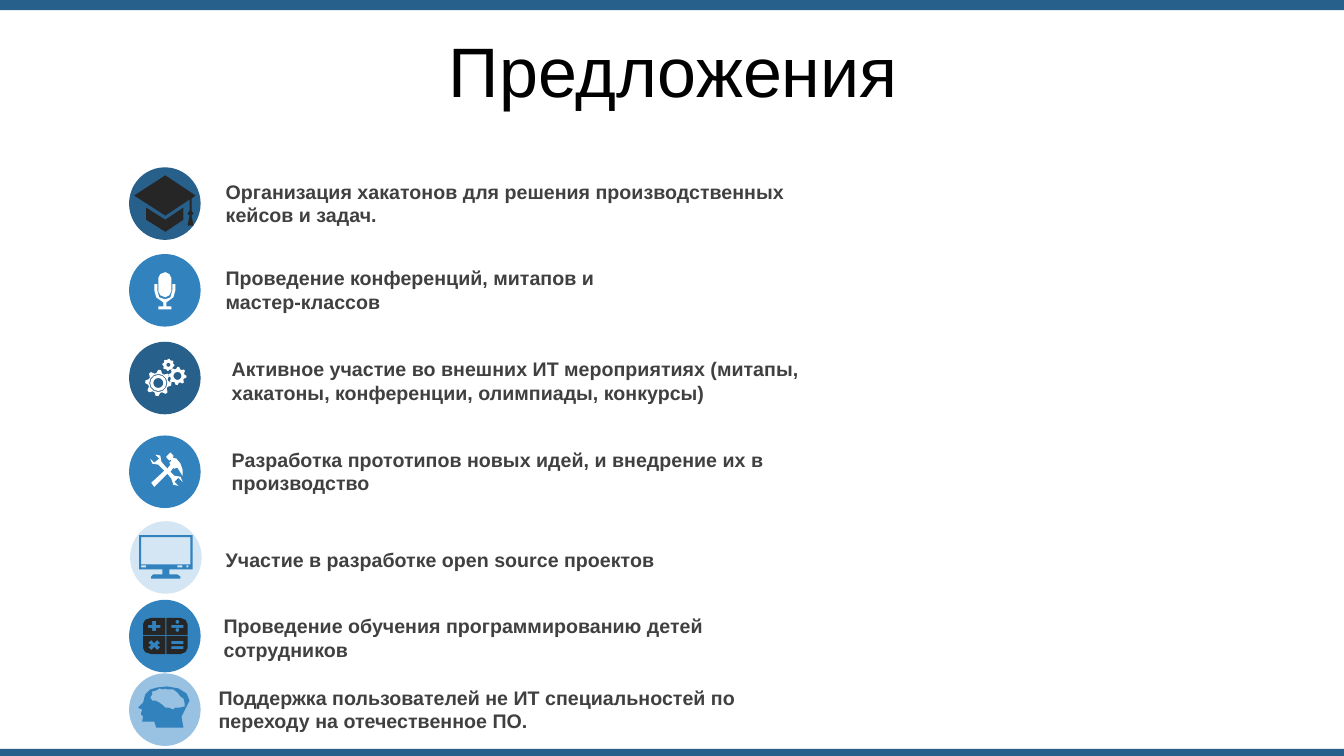
import math

from pptx import Presentation
from pptx import util as u
from pptx.dml.color import RGBColor
from pptx.enum import shapes, text

FONT = "Arial"
COLOURS = {
    "navy": "28608C", "blue": "3282BE", "sky": "98C1E2", "pale": "D4E6F4",
    "white": "FFFFFF", "ink": "262626", "grey": "404040", "black": "000000",
}

# Badge left, top and colour; text left, top, width, height and wording
PROPOSALS = [
    (1.28, 1.66, "navy", 2.14, 1.73, 6.02, 0.57,
     "Организация хакатонов для решения производственных кейсов и задач."),
    (1.28, 2.52, "blue", 2.14, 2.59, 3.9, 0.57,
     "Проведение конференций, митапов и мастер-классов"),
    (1.28, 3.39, "navy", 2.2, 3.49, 5.96, 0.57,
     "Активное участие во внешних ИТ мероприятиях (митапы, хакатоны, "
     "конференции, олимпиады, конкурсы)"),
    (1.28, 4.32, "blue", 2.2, 4.39, 5.73, 0.57,
     "Разработка прототипов новых идей, и внедрение их в производство"),
    (1.29, 5.17, "pale", 2.14, 5.38, 5.51, 0.34,
     "Участие в разработке open source проектов"),
    (1.28, 5.95, "blue", 2.12, 6.04, 5.66, 0.57,
     "Проведение обучения программированию детей сотрудников"),
    (1.28, 6.68, "sky", 2.07, 6.75, 5.66, 0.57,
     "Поддержка пользователей не ИТ специальностей по переходу на отечественное ПО."),
]

# Icon outlines: corner points in inches
CAP = ["1.45,2.06 1.64,2.18 1.82,2.06 1.82,2.18 1.64,2.3 1.45,2.18",
       "1.64,1.74 1.94,1.94 1.9,1.97 1.9,2.09 1.92,2.12 1.9,2.14 1.92,2.24 1.86,2.24 "
       "1.88,2.14 1.86,2.12 1.88,2.09 1.88,1.98 1.64,2.14 1.33,1.94"]
MICROPHONE = ["1.71,2.82 1.74,2.82 1.74,2.88 1.72,2.95 1.65,3 1.65,3.04 1.7,3.04 1.7,3.07 "
              "1.57,3.07 1.57,3.04 1.62,3.04 1.62,3 1.55,2.95 1.53,2.88 1.53,2.82 1.56,2.82 "
              "1.56,2.88 1.58,2.95 1.64,2.97 1.69,2.95 1.71,2.88",
              "1.64,2.7 1.68,2.72 1.7,2.76 1.7,2.89 1.68,2.93 1.64,2.95 1.59,2.93 "
              "1.57,2.89 1.57,2.76 1.59,2.72"]
TOOLS = ["1.54,4.51 1.59,4.52 1.6,4.58 1.66,4.65 1.69,4.61 1.68,4.59 1.7,4.57 1.69,4.56 "
         "1.71,4.54 1.75,4.55 1.79,4.6 1.81,4.66 1.81,4.72 1.76,4.64 1.73,4.65 1.72,4.64 "
         "1.69,4.68 1.73,4.72 1.79,4.73 1.81,4.78 1.77,4.74 1.73,4.78 1.77,4.82 1.72,4.81 "
         "1.7,4.75 1.66,4.7 1.53,4.83 1.5,4.79 1.63,4.67 1.57,4.61 1.51,4.6 1.49,4.55 "
         "1.53,4.59 1.58,4.55",
         "1.69,4.49 1.72,4.52 1.72,4.53 1.68,4.57 1.65,4.54 1.65,4.53"]
MONITOR = ["1.38,5.31 1.91,5.31 1.91,5.65 1.68,5.65 1.68,5.7 1.76,5.7 1.79,5.72 1.79,5.74 "
           "1.5,5.74 1.5,5.72 1.52,5.7 1.61,5.7 1.61,5.65 1.38,5.65"]
CALCULATOR = ["1.65,6.31 1.86,6.31 1.86,6.43 1.84,6.47 1.79,6.49 1.65,6.49",
              "1.42,6.31 1.64,6.31 1.64,6.49 1.5,6.49 1.44,6.47 1.42,6.43",
              "1.5,6.13 1.64,6.13 1.64,6.3 1.42,6.3 1.42,6.19 1.44,6.15",
              "1.65,6.13 1.79,6.13 1.84,6.15 1.86,6.19 1.86,6.3 1.65,6.3",
              "1.5,6.35 1.47,6.38 1.5,6.4 1.47,6.42 1.5,6.45 1.53,6.42 1.56,6.45 1.59,6.42 "
              "1.56,6.4 1.59,6.38 1.56,6.35 1.53,6.38",
              "1.51,6.16 1.51,6.2 1.47,6.2 1.47,6.23 1.51,6.23 1.51,6.26 1.55,6.26 1.55,6.23 "
              "1.59,6.23 1.59,6.2 1.55,6.2 1.55,6.16"]
HEAD = ["1.66,6.81 1.77,6.83 1.85,6.88 1.88,6.95 1.83,7.05 1.8,7.11 1.82,7.22 1.55,7.22 "
        "1.53,7.16 1.41,7.16 1.42,7.11 1.4,7.09 1.4,7.07 1.41,7.04 1.37,7.02 1.42,6.97 "
        "1.44,6.89 1.49,6.84 1.56,6.82",
        "1.62,6.84 1.58,6.83 1.55,6.85 1.51,6.86 1.51,6.89 1.49,6.92 1.51,6.95 1.54,6.95 "
        "1.58,6.97 1.62,7 1.64,7.02 1.67,7.02 1.72,7.04 1.74,7.02 1.78,7.02 1.83,7.01 "
        "1.83,6.97 1.82,6.93 1.79,6.91 1.76,6.87 1.72,6.84 1.66,6.84 1.64,6.83"]


def trace(outline):
    return [tuple(map(float, point.split(","))) for point in outline.split()]


def around(x, y, radii):
    """Points evenly spaced about a centre, one for each radius."""
    turn = 2 * math.pi / len(radii)
    return [(x + r * math.cos(i * turn), y + r * math.sin(i * turn))
            for i, r in enumerate(radii)]


def block(left, top, width, height):
    right, bottom = left + width, top + height
    return [(left, top), (right, top), (right, bottom), (left, bottom)]


def gear(x, y, tip, root, rings):
    teeth = around(x, y, [tip, tip, root, root] * 8)
    return [teeth] + [around(x, y, [ring] * 12) for ring in rings]


def set_fill(shape, colour):
    shape.fill.solid()
    shape.fill.fore_color.rgb = RGBColor.from_string(COLOURS[colour])
    shape.line.fill.background()
    shape.shadow.inherit = False


def add_solid(page, kind, left, top, width, height, colour):
    shape = page.shapes.add_shape(kind, *map(u.Inches, (left, top, width, height)))
    set_fill(shape, colour)


def add_icon(page, contours, colour):
    builder = None
    for contour in contours:
        start, *rest = [(u.Inches(x), u.Inches(y)) for x, y in contour]
        if builder is None:
            builder = page.shapes.build_freeform(*start, scale=1.0)
        else:
            builder.move_to(*start)
        builder.add_line_segments(rest)
    set_fill(builder.convert_to_shape(), colour)


def write(box, wording, size, colour, bold):
    frame = box.text_frame
    frame.text = wording
    frame.word_wrap = True
    frame.vertical_anchor = text.MSO_ANCHOR.MIDDLE
    font = frame.paragraphs[0].runs[0].font
    font.name, font.size, font.bold = FONT, u.Pt(size), bold
    font.color.rgb = RGBColor.from_string(COLOURS[colour])
    return frame


def add_title(page, wording):
    title = page.shapes.title
    title.left, title.top, title.width, title.height = map(u.Inches, (0.35, 0.37, 12.66, 0.79))
    frame = write(title, wording, 50, "black", False)
    frame.auto_size = text.MSO_AUTO_SIZE.NONE
    para = frame.paragraphs[0]
    para.alignment, para.line_spacing, para.space_before = text.PP_ALIGN.CENTER, 0.8, u.Pt(10)


def add_proposal(page, badge_left, badge_top, colour, left, top, width, height, wording):
    add_solid(page, shapes.MSO_SHAPE.OVAL, badge_left, badge_top, 0.71, 0.72, colour)
    box = page.shapes.add_textbox(*map(u.Inches, (left, top, width, height)))
    write(box, wording, 14, "grey", True).auto_size = text.MSO_AUTO_SIZE.SHAPE_TO_FIT_TEXT


def add_icons(page):
    for outlines, colour in ((CAP, "ink"), (MICROPHONE, "white"), (TOOLS, "white"), (HEAD, "blue")):
        add_icon(page, map(trace, outlines), colour)
    add_icon(page, gear(1.57, 3.8, 0.13, 0.1, (0.09, 0.08, 0.05))
             + gear(1.76, 3.73, 0.09, 0.07, (0.04,))
             + gear(1.67, 3.62, 0.06, 0.05, (0.02,)), "white")
    add_icon(page, [trace(part) for part in MONITOR]
             + [block(1.4, 5.33, 0.49, 0.27)]
             + [block(left, 5.61, width, 0.02)
                for left, width in ((1.4, 0.05), (1.76, 0.05), (1.85, 0.02))], "blue")
    add_icon(page, [trace(part) for part in CALCULATOR]
             + [block(1.7, top, 0.12, 0.03) for top in (6.2, 6.36, 6.41)]
             + [around(1.76, y, [0.02] * 8) for y in (6.17, 6.25)], "ink")


def main():
    deck = Presentation()
    deck.slide_width, deck.slide_height = u.Inches(13.33), u.Inches(7.5)
    page = deck.slides.add_slide(deck.slide_layouts[5])
    # Edge bars and title
    for top, height in ((0, 0.1), (7.43, 0.07)):
        add_solid(page, shapes.MSO_SHAPE.RECTANGLE, 0, top, 13.33, height, "navy")
    add_title(page, "Предложения")
    # Proposals with their badges, then the icons
    for proposal in PROPOSALS:
        add_proposal(page, *proposal)
    add_icons(page)
    deck.save("out.pptx")


if __name__ == "__main__":
    main()
